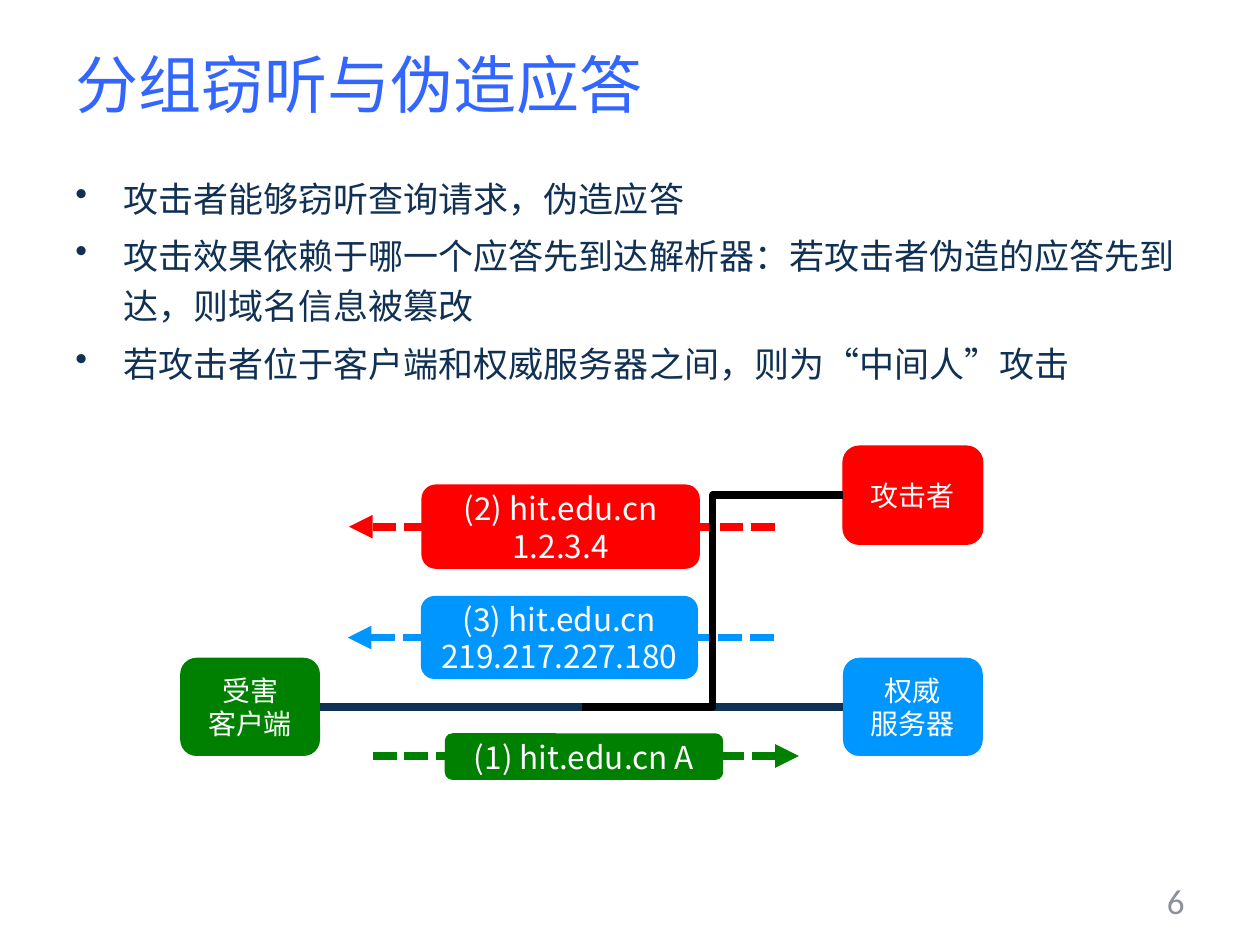
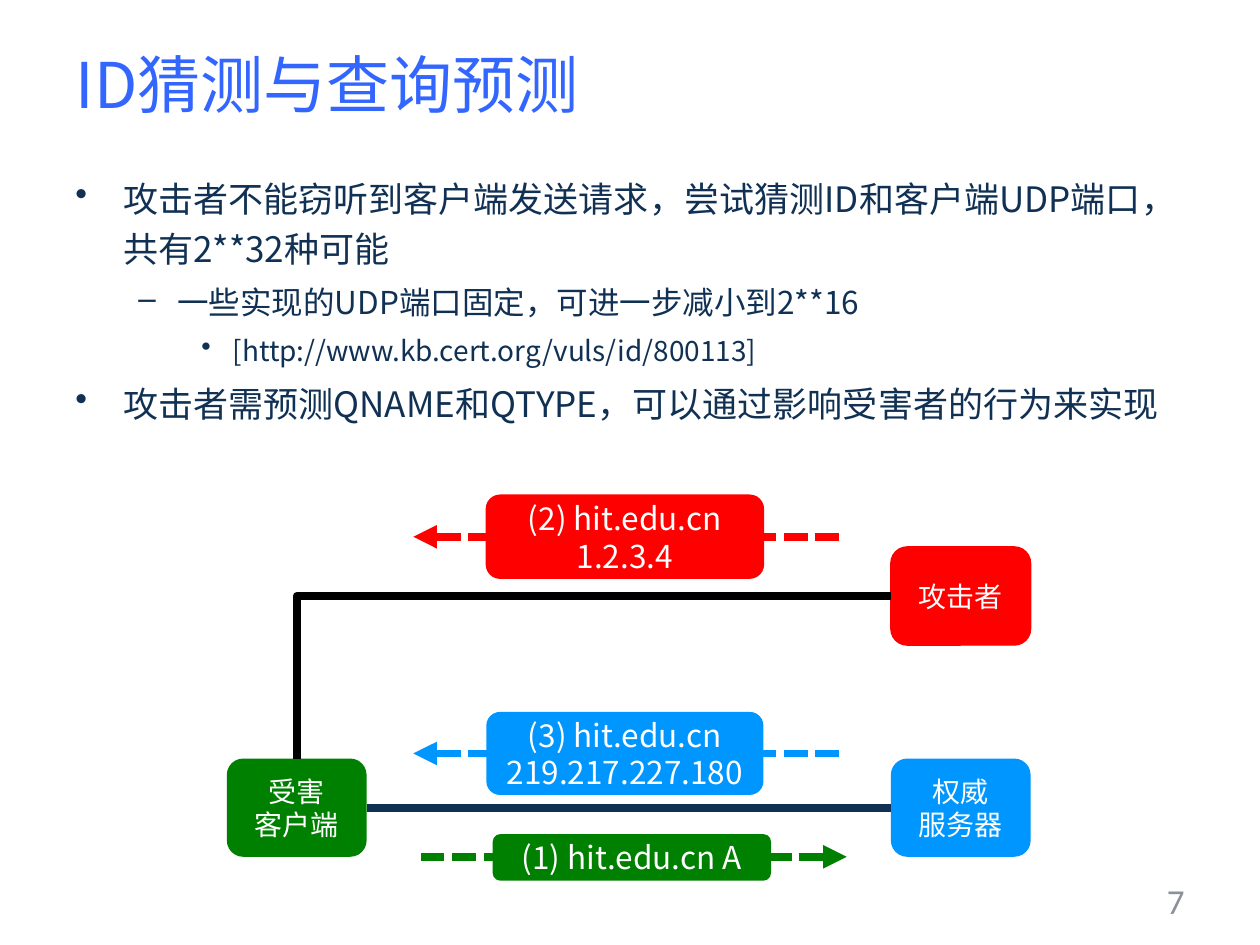
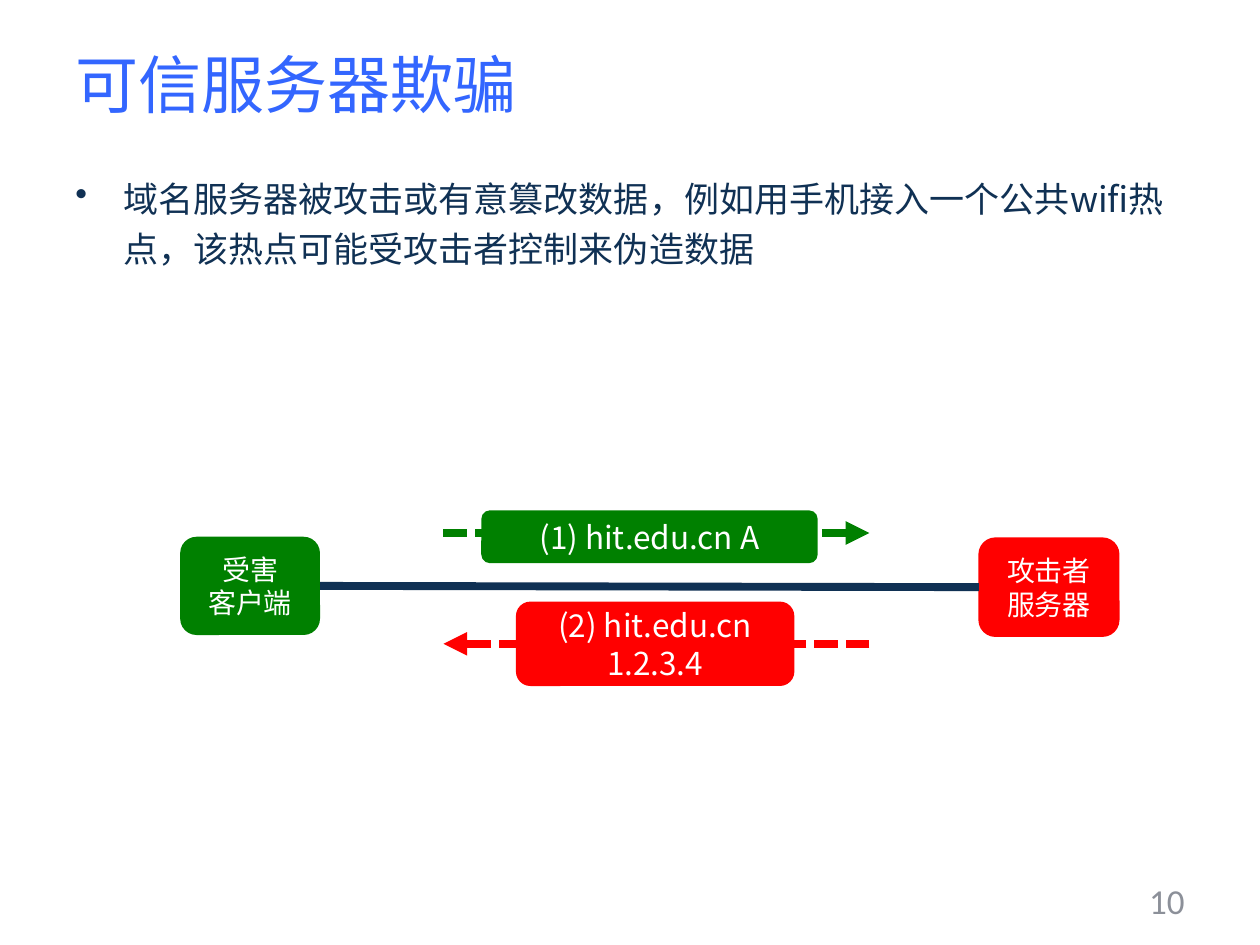
"""Build three slides on DNS spoofing attacks."""
from dataclasses import dataclass

from lxml import etree
from pptx import Presentation
from pptx.dml.color import RGBColor
from pptx.enum.dml import MSO_LINE
from pptx.enum.shapes import MSO_CONNECTOR, MSO_SHAPE
from pptx.enum.text import MSO_ANCHOR, PP_ALIGN
from pptx.oxml.ns import qn
from pptx.util import Inches, Pt

ROUND = MSO_SHAPE.ROUNDED_RECTANGLE
LINE, ELBOW = MSO_CONNECTOR.STRAIGHT, MSO_CONNECTOR.ELBOW
DASH = MSO_LINE.SQUARE_DOT
MIDDLE = MSO_ANCHOR.MIDDLE
LEFT, CENTER, RIGHT = PP_ALIGN.LEFT, PP_ALIGN.CENTER, PP_ALIGN.RIGHT
TOP_SIDE, LEFT_SIDE, RIGHT_SIDE = 0, 1, 3


@dataclass(frozen=True)
class Theme:
    font: str = "Noto Sans CJK SC"
    digit: str = "Calibri"
    title: str = "3366FF"
    ink: str = "103154"
    page: str = "8C9099"
    white: str = "FFFFFF"
    black: str = "000000"
    green: str = "008000"
    blue: str = "0096FF"
    red: str = "FF0000"
    head: int = 36
    body: tuple = (20, 18, 16)
    node: int = 16
    flow: int = 18
    loose: float = 1.2
    stroke: float = 4.5


T = Theme()
LEVELS = [(0.38, 0.38, "•"), (0.81, 0.31, "–"), (1.25, 0.25, "•")]
ASK = (T.green, "(1) hit.edu.cn A", 0.57, 0.18, 2.21, 0.37)
WIDE_ASK = (T.green, "(1) hit.edu.cn A", 0.3, 0.18, 2.67, 0.42)
FAKE = (T.red, "(2) hit.edu.cn\n1.2.3.4", 0.58, 0.33, 2.2, 0.66)
TRUE = (T.blue, "(3) hit.edu.cn\n219.217.227.180", 0.58, 0.33, 2.2, 0.66)
VICTIM = (T.green, "受害\n客户端")
ENEMY = (T.red, "攻击者")
SERVER = (T.blue, "权威\n服务器")
ROGUE = (T.red, "攻击者服务器")

SLIDES = [
    dict(
        title="分组窃听与伪造应答", page="6", height=0.72,
        body=[(0, "攻击者能够窃听查询请求，伪造应答"),
              (0, "攻击效果依赖于哪一个应答先到达解析器：若攻击者伪造的应答先到达，则域名信息被篡改"),
              (0, "若攻击者位于客户端和权威服务器之间，则为“中间人”攻击")],
        nodes=[(VICTIM, 1.43, 5.22), (SERVER, 6.69, 5.22), (ENEMY, 6.69, 3.54)],
        flows=[(ASK, 2.96, 6), (TRUE, 2.76, 5.06), (FAKE, 2.77, 4.18)],
        tap="wire"),
    dict(
        title="ID猜测与查询预测", page="7", height=2.3,
        body=[(0, "攻击者不能窃听到客户端发送请求，尝试猜测ID和客户端UDP端口，共有2**32种可能"),
              (1, "一些实现的UDP端口固定，可进一步减小到2**16"),
              (2, "[http://www.kb.cert.org/vuls/id/800113]"),
              (0, "攻击者需预测QNAME和QTYPE，可以通过影响受害者的行为来实现")],
        nodes=[(VICTIM, 1.8, 6.02), (SERVER, 7.07, 6.02), (ENEMY, 7.07, 4.34)],
        flows=[(ASK, 3.34, 6.8), (TRUE, 3.28, 5.98), (FAKE, 3.28, 4.26)],
        tap="victim"),
    dict(
        title="可信服务器欺骗", page="10", height=1.32,
        body=[(0, "域名服务器被攻击或有意篡改数据，例如用手机接入一个公共wifi热点，该热点可能受攻击者控制来伪造数据")],
        nodes=[(VICTIM, 1.43, 4.26), (ROGUE, 7.77, 4.27)],
        flows=[(WIDE_ASK, 3.52, 4.23), (FAKE, 3.52, 5.11)],
        tap=None),
]


def write(frame, text, size, color, align, font=T.font):
    """Fill a text frame, one paragraph a line."""
    frame.word_wrap = True
    frame.text = text
    for para in frame.paragraphs:
        para.alignment = align
        para.font.size = Pt(size)
        para.font.color.rgb = RGBColor.from_string(color)
        para.font.name = font
        props = para._p.pPr.find(qn("a:defRPr"))
        etree.SubElement(props, qn("a:ea"), typeface=font)


def join(slide, kind, start, end, color):
    """Draw a thick connector without a shadow."""
    ends = [Inches(v) for v in (*start, *end)]
    wire = slide.shapes.add_connector(kind, *ends)
    wire.line.color.rgb = RGBColor.from_string(color)
    wire.line.width = Pt(T.stroke)
    etree.SubElement(wire._element.spPr, qn("a:effectLst"))
    return wire


deck = Presentation()
deck.slide_width, deck.slide_height = Inches(10), Inches(7.5)

for data in SLIDES:
    slide = deck.slides.add_slide(deck.slide_layouts[5])
    shapes = slide.shapes

    title = shapes.title
    title.left, title.top = Inches(0.5), Inches(0.04)
    title.width, title.height = Inches(9), Inches(1.25)
    title.text_frame.vertical_anchor = MIDDLE
    write(title.text_frame, data["title"], T.head, T.title, LEFT)

    body = shapes.add_textbox(Inches(0.5), Inches(1.29), Inches(9), Inches(data["height"]))
    lines = "\n".join(text for _, text in data["body"])
    write(body.text_frame, lines, T.body[0], T.ink, LEFT)
    for para, (level, _) in zip(body.text_frame.paragraphs, data["body"]):
        margin, hang, mark = LEVELS[level]
        para.level = level
        para.font.size = Pt(T.body[level])
        para.line_spacing = T.loose
        para.space_before = Pt(T.body[level] * 0.2)
        props = para._p.pPr
        props.set("marL", str(Inches(margin)))
        props.set("indent", str(-Inches(hang)))
        bullet = etree.Element(qn("a:buChar"), char=mark)
        props.find(qn("a:defRPr")).addprevious(bullet)

    page = shapes.add_textbox(Inches(7.17), Inches(6.95), Inches(2.33), Inches(0.4))
    page.text_frame.vertical_anchor = MIDDLE
    write(page.text_frame, data["page"], T.body[0], T.page, RIGHT, T.digit)

    boxes = [(*node, x, y, 1.11, 0.78, T.node) for node, x, y in data["nodes"]]
    for (color, text, dx, dy, width, height), x, y in data["flows"]:
        ends = [(x, y), (x + 3.38, y)]
        start, end = ends if color == T.green else ends[::-1]
        arrow = join(slide, LINE, start, end, color)
        arrow.line.dash_style = DASH
        etree.SubElement(arrow.line._get_or_add_ln(), qn("a:tailEnd"), type="triangle")
        boxes.append((color, text, x + dx, y - dy, width, height, T.flow))

    made = []
    for color, text, x, y, width, height, size in boxes:
        box = shapes.add_shape(ROUND, Inches(x), Inches(y), Inches(width), Inches(height))
        box.shadow.inherit = False
        box.fill.solid()
        box.fill.fore_color.rgb = RGBColor.from_string(color)
        if color == T.red:
            box.line.color.rgb = RGBColor.from_string(color)
            box.line.width = Pt(0.75)
        else:
            box.line.fill.background()
        box.text_frame.vertical_anchor = MIDDLE
        write(box.text_frame, text, size, T.white, CENTER)
        made.append(box)

    victim, server, enemy = made[:3]
    link = join(slide, LINE, (0, 0), (1, 1), T.ink)
    link.begin_connect(server, LEFT_SIDE)
    link.end_connect(victim, RIGHT_SIDE)

    if data["tap"] == "wire":
        tap = join(slide, ELBOW, (4.62, 5.61), (6.69, 3.93), T.black)
        tap.end_connect(enemy, LEFT_SIDE)
    elif data["tap"] == "victim":
        tap = join(slide, ELBOW, (7.07, 4.73), (2.36, 6.02), T.black)
        tap._element.spPr.find(qn("a:prstGeom")).set("prst", "bentConnector2")
        tap.begin_connect(enemy, LEFT_SIDE)
        tap.end_connect(victim, TOP_SIDE)

deck.save("out.pptx")
